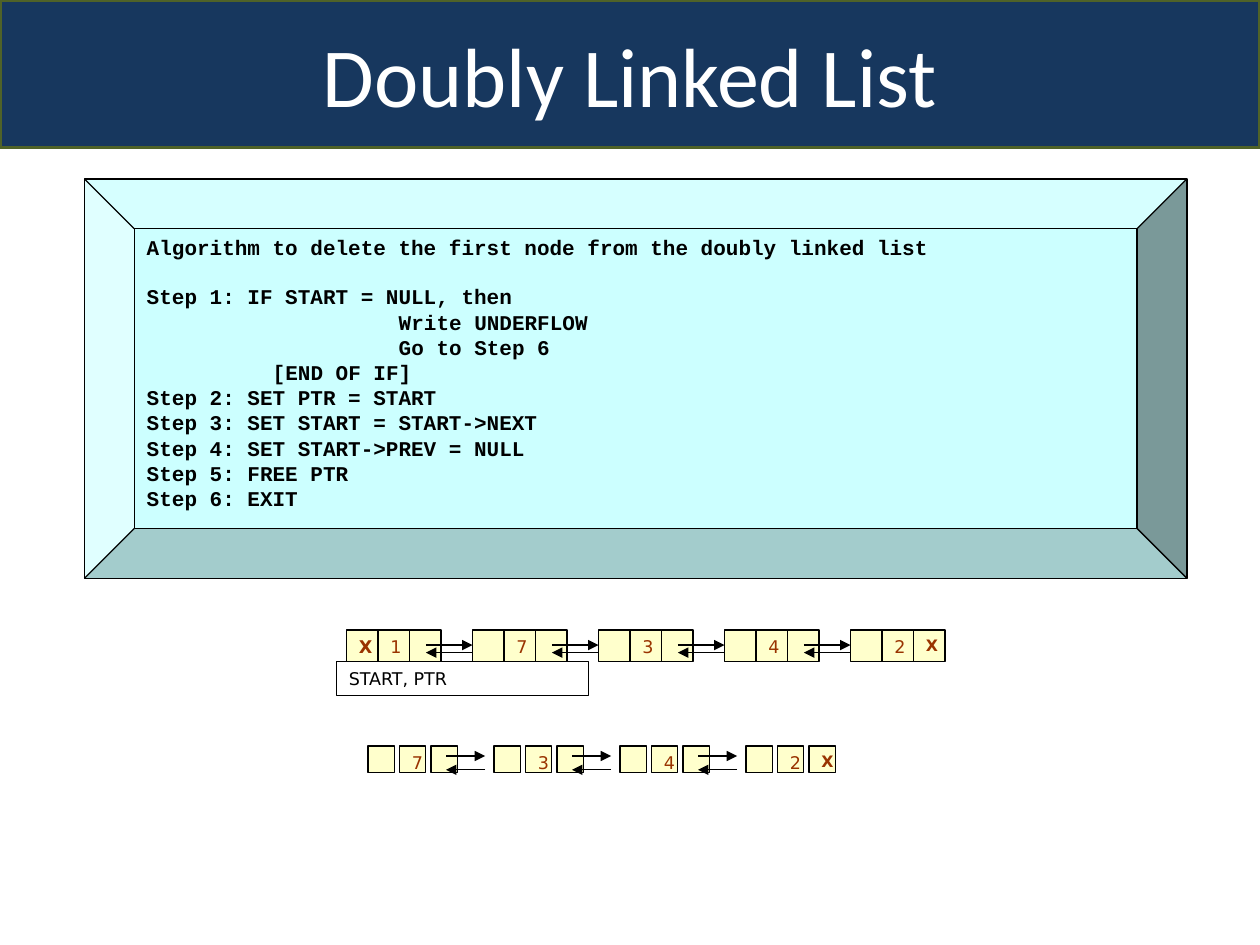
from lxml import etree
from pptx import Presentation
from pptx import util as u
from pptx.dml.color import RGBColor
from pptx.enum import shapes, text
from pptx.oxml.ns import qn

COLORS = {"navy": "17375E", "olive": "4F6228", "cyan": "CCFFFF", "cream": "FFFFCC",
          "brown": "993300", "black": "000000", "white": "FFFFFF"}
SHAPE = shapes.MSO_SHAPE


def rgb(name):
    """Return a palette colour."""
    return RGBColor.from_string(COLORS[name])


class ListSlide:
    """Holds the slide and draws its elements in one style."""

    def __init__(self, slide):
        """Keep the slide to draw on."""
        self.slide = slide

    def box(self, parent, kind, at, fill=None, line="black", width=0.75, adjust=None):
        """Add an outlined preset shape, unfilled if fill is None."""
        shape = parent.add_shape(kind, *map(u.Inches, at))
        shape.shadow.inherit = False
        if adjust is not None:
            shape.adjustments[0] = adjust
        if fill:
            shape.fill.solid()
            shape.fill.fore_color.rgb = rgb(fill)
        else:
            shape.fill.background()
        shape.line.color.rgb = rgb(line)
        shape.line.width = u.Pt(width)
        return shape

    def label(self, shape, lines, size, font, color, bold=False,
              align=text.PP_ALIGN.LEFT, anchor=text.MSO_ANCHOR.TOP):
        """Put (indent in inches, words) lines into a shape."""
        frame = shape.text_frame
        frame.word_wrap = True
        frame.vertical_anchor = anchor
        for i, (indent, words) in enumerate(lines):
            line = frame.paragraphs[0] if i == 0 else frame.add_paragraph()
            line.text = words
            line.alignment = align
            line.font.size = u.Pt(size)
            line.font.name = font
            line.font.bold = bold
            line.font.color.rgb = rgb(color)
            if indent:
                line._p.get_or_add_pPr().set("marL", str(u.Inches(indent)))
        return frame

    def arrow(self, parent, start, end, y):
        """Add a horizontal arrow from start to end."""
        link = parent.add_connector(shapes.MSO_CONNECTOR.STRAIGHT,
                                    *map(u.Inches, (start, y, end, y)))
        link.line.color.rgb = rgb("black")
        link.line.width = u.Pt(0.75)
        etree.SubElement(link.line._get_or_add_ln(), qn("a:tailEnd"), type="triangle")
        etree.SubElement(link._element.spPr, qn("a:effectLst"))

    def linked_list(self, nodes, left, top, cell, link, next_y, prev_y):
        """Draw three-cell nodes one inch apart, linked both ways."""
        group = self.slide.shapes.add_group_shape().shapes
        for n, node in enumerate(nodes):
            for part, value in enumerate(node):
                square = self.box(group, SHAPE.RECTANGLE,
                                  (left + n + part * 0.25, top, cell, cell), "cream")
                if value:
                    last = value == "X" and part == 2
                    self.label(square, [(0, value)], 9 if last else 10, "DejaVu Sans",
                               "brown", bold=value == "X")
        for n in range(len(nodes) - 1):
            start, end = (left + n + x for x in link)
            self.arrow(group, start, end, next_y)
            self.arrow(group, end, start, prev_y)


prs = Presentation()
prs.slide_width, prs.slide_height = u.Inches(10), u.Inches(7.5)
page = ListSlide(prs.slides.add_slide(prs.slide_layouts[6]))
canvas = page.slide.shapes

banner = page.box(canvas, SHAPE.ROUNDED_RECTANGLE, (0, 0, 10, 1.17), "navy", "olive", 2, 0)
page.label(banner, [(0, "Doubly Linked List")], 48, "Calibri", "white",
           align=text.PP_ALIGN.CENTER, anchor=text.MSO_ANCHOR.MIDDLE)

ALGORITHM = [
    (0, "Algorithm to delete the first node from the doubly linked list"),
    (0, "Step 1: IF START = NULL, then"),
    (2, "Write UNDERFLOW"),
    (2, "Go to Step 6"),
    (1, "[END OF IF]"),
    (0, "Step 2: SET PTR = START"),
    (0, "Step 3: SET START = START->NEXT"),
    (0, "Step 4: SET START->PREV = NULL"),
    (0, "Step 5: FREE PTR"),
    (0, "Step 6: EXIT"),
]
panel = page.box(canvas, SHAPE.BEVEL, (0.67, 1.42, 8.75, 3.17), "cyan", adjust=0.125)
steps = page.label(panel, ALGORITHM, 12, "Courier New", "black", bold=True)
steps.paragraphs[0].space_after = u.Pt(13.6)

before = [("X", "1", ""), ("", "7", ""), ("", "3", ""), ("", "4", ""), ("", "2", "X")]
after = before[1:]
page.linked_list(before, 2.75, 5, 0.25, (0.63, 1), 5.12, 5.18)

pointers = page.box(canvas, SHAPE.RECTANGLE, (2.67, 5.25, 2, 0.27))
page.label(pointers, [(0, "START, PTR")], 10, "DejaVu Sans", "black",
           anchor=text.MSO_ANCHOR.MIDDLE)

page.linked_list(after, 2.92, 5.92, 0.21, (0.62, 0.93), 6, 6.11)

prs.save("out.pptx")
